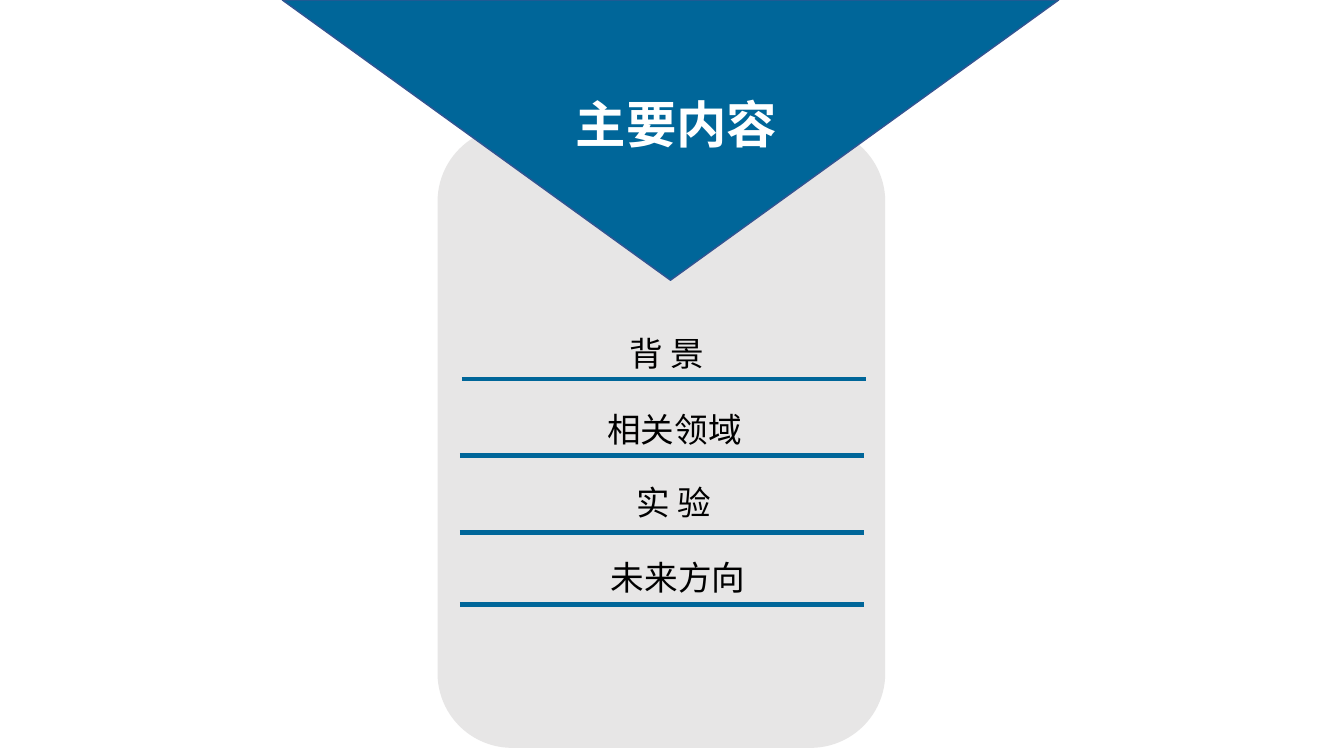
"""Build the contents slide: a grey panel of four topics under a blue triangle."""
import lxml.etree
import pptx
import pptx.dml.color
import pptx.enum.shapes
import pptx.enum.text
import pptx.oxml.ns
import pptx.util

Inches = pptx.util.Inches
RGBColor = pptx.dml.color.RGBColor
MSO_SHAPE = pptx.enum.shapes.MSO_SHAPE
PP_ALIGN = pptx.enum.text.PP_ALIGN
qn = pptx.oxml.ns.qn

BLUE = RGBColor(0x00, 0x66, 0x99)
EDGE = RGBColor(0x32, 0x54, 0x91)
GREY = RGBColor(0xE7, 0xE6, 0xE6)
BLACK = RGBColor(0x00, 0x00, 0x00)
WHITE = RGBColor(0xFF, 0xFF, 0xFF)
FONT = "Noto Sans CJK SC"


def write(sp, text, size=24, color=BLACK, bold=False, align=PP_ALIGN.CENTER, wrap=True):
    tf = sp.text_frame
    tf.word_wrap = wrap
    tf.auto_size = pptx.enum.text.MSO_AUTO_SIZE.SHAPE_TO_FIT_TEXT
    tf.vertical_anchor = pptx.enum.text.MSO_ANCHOR.TOP
    p = tf.paragraphs[0]
    p.alignment = align
    p.line_spacing = 1.0
    p.space_before = pptx.util.Pt(0)
    r = p.add_run()
    r.text = text
    r.font.size = pptx.util.Pt(size)
    r.font.bold = bold
    r.font.color.rgb = color
    r.font.name = FONT
    lxml.etree.SubElement(r.font._element, qn("a:ea"), typeface=FONT)


prs = pptx.Presentation()
prs.slide_width = Inches(13.33)
prs.slide_height = Inches(7.5)
s = prs.slides.add_slide(prs.slide_layouts[5])

panel = s.shapes.add_shape(MSO_SHAPE.ROUNDED_RECTANGLE,
                           Inches(4.34), Inches(1.26), Inches(4.44), Inches(6.16))
panel.shadow.inherit = False
panel.fill.solid()
panel.fill.fore_color.rgb = GREY
panel.line.fill.background()

topics = [
    (" 背 景", 6.05, 3.25, 1.06, 4.58, 3.76),
    ("相关领域", 5.9, 4.01, 1.58, 4.56, 4.52),
    ("实 验", 5.9, 4.73, 1.57, 4.56, 5.28),
    ("未来方向", 5.9, 5.48, 1.65, 4.56, 6.0),
]
for topic, left, top, width, rule_left, rule_y in topics:
    rule = s.shapes.add_connector(pptx.enum.shapes.MSO_CONNECTOR.STRAIGHT,
                                  Inches(rule_left), Inches(rule_y),
                                  Inches(rule_left + 4.01), Inches(rule_y))
    rule.line.color.rgb = BLUE
    rule.line.width = pptx.util.Pt(3.5)
    lxml.etree.SubElement(rule.element.spPr, qn("a:effectLst"))
    sp = s.shapes.add_textbox(Inches(left), Inches(top), Inches(width), Inches(0.5))
    write(sp, topic)

triangle = s.shapes.add_shape(MSO_SHAPE.ISOSCELES_TRIANGLE,
                              Inches(2.8), Inches(0), Inches(7.7), Inches(2.78))
triangle.rotation = 180
triangle.shadow.inherit = False
triangle.fill.solid()
triangle.fill.fore_color.rgb = BLUE
triangle.line.color.rgb = EDGE
triangle.line.width = pptx.util.Pt(1)

title = s.shapes.title
title.left, title.top = Inches(5.61), Inches(0.87)
title.width, title.height = Inches(2.22), Inches(0.71)
write(title, "主要内容", size=36, color=WHITE, bold=True, align=PP_ALIGN.LEFT, wrap=False)
triangle.element.addnext(title.element)

prs.save("out.pptx")
